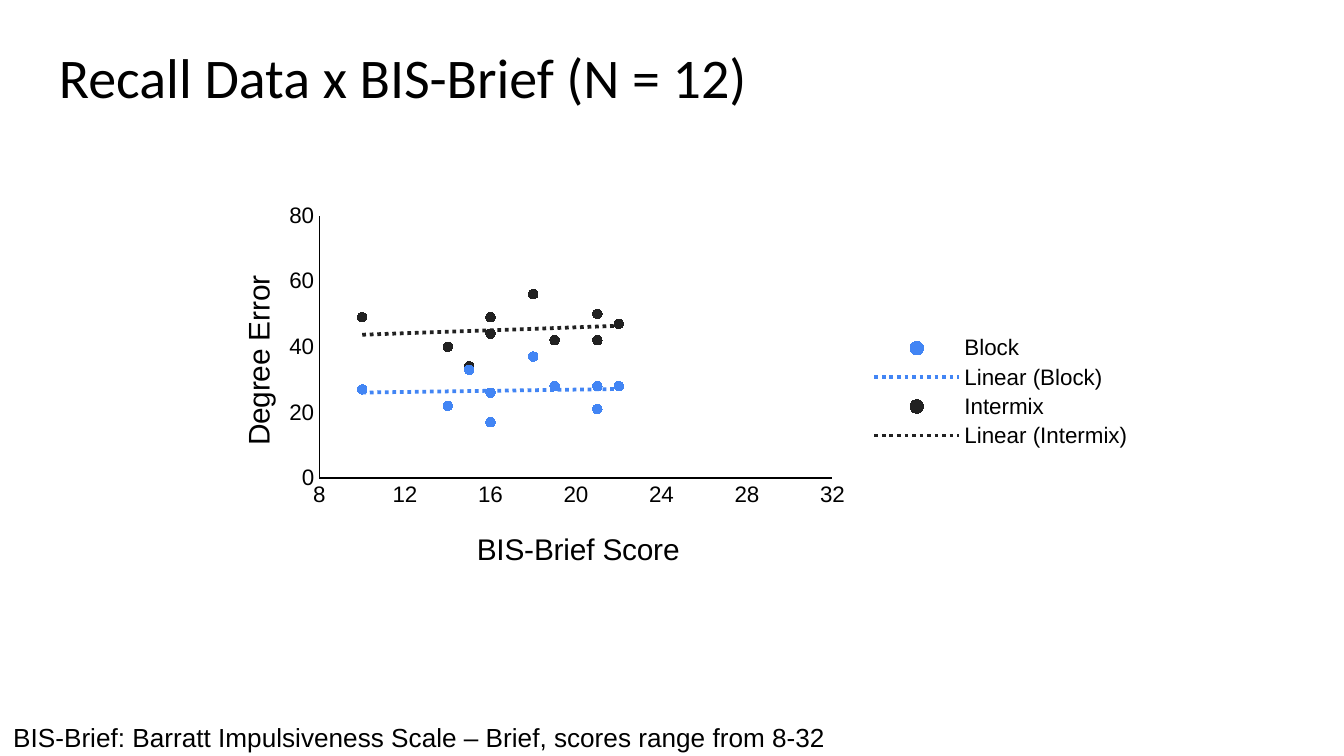
from dataclasses import dataclass

from lxml.etree import _Element as Element
from pptx import Presentation
from pptx.chart.data import XyChartData
from pptx.dml.color import RGBColor
from pptx.enum.chart import XL_CHART_TYPE as ChartType
from pptx.enum.chart import XL_LEGEND_POSITION as LegendPosition
from pptx.enum.chart import XL_MARKER_STYLE as MarkerStyle
from pptx.enum.chart import XL_TICK_MARK as TickMark
from pptx.enum.text import MSO_AUTO_SIZE as AutoSize
from pptx.oxml import parse_xml
from pptx.oxml.ns import nsdecls, qn
from pptx.util import Pt

BLACK = "000000"
SCORES = [16, 21, 22, 21, 16, 14, 18, 10, 19, 15]


@dataclass
class Caption:
    text: str
    left: float
    top: float
    width: float
    height: float
    font: str
    size: float
    inset: float
    wrap: bool


@dataclass
class Condition:
    name: str
    color: str
    errors: list[int]


@dataclass
class Scale:
    title: str
    low: int
    high: int
    step: int
    title_x: float
    title_y: float


CAPTIONS = [
    Caption("BIS-Brief: Barratt Impulsiveness Scale – Brief, scores range from 8-32",
            0, 383, 454.3, 24.2, "Arial", 14, 3.6, False),
    Caption("Recall Data x BIS-Brief (N = 12)", 24.5, 15.8, 671, 45.4, "Calibri", 30, 7.2, True),
]
CONDITIONS = [
    Condition("Block", "4285F4", [26, 21, 28, 28, 17, 22, 37, 27, 28, 33]),
    Condition("Intermix", "212121", [49, 50, 47, 42, 44, 40, 56, 49, 42, 34]),
]
SCORE_SCALE = Scale("BIS-Brief Score", 8, 32, 4, 0.29, 0.84)
ERROR_SCALE = Scale("Degree Error", 0, 80, 20, 0.04, 0.19)


def rgb(color: str) -> RGBColor:
    return RGBColor.from_string(color)


def style_font(font, size: float, name: str = "Arial") -> None:
    font.name, font.size, font.bold = name, Pt(size), False
    font.color.rgb = rgb(BLACK)


def add_caption(slide, caption: Caption) -> None:
    box = slide.shapes.add_textbox(Pt(caption.left), Pt(caption.top), Pt(caption.width), Pt(caption.height))
    frame = box.text_frame
    frame.text = caption.text
    frame.word_wrap = caption.wrap
    frame.auto_size = AutoSize.NONE if caption.wrap else AutoSize.SHAPE_TO_FIT_TEXT
    frame.margin_top = frame.margin_bottom = Pt(caption.inset)
    style_font(frame.paragraphs[0].font, caption.size, caption.font)


def place(parent: Element, **fractions: float) -> None:
    modes = "".join(f'<c:{side}Mode val="edge"/>' for side in "xy")
    extents = "".join(f'<c:{key} val="{value}"/>' for key, value in fractions.items())
    target = '<c:layoutTarget val="inner"/>' if "w" in fractions else ""
    layout = parse_xml(f'<c:layout {nsdecls("c")}><c:manualLayout>{target}{modes}{extents}'
                       "</c:manualLayout></c:layout>")
    for automatic in parent.findall(qn("c:layout")):
        parent.remove(automatic)
    parent.insert(len(parent.findall(qn("c:tx"))), layout)


def style_axis(axis, scale: Scale) -> None:
    axis.minimum_scale, axis.maximum_scale, axis.major_unit = scale.low, scale.high, scale.step
    axis.has_major_gridlines = False
    axis.major_tick_mark = axis.minor_tick_mark = TickMark.NONE
    axis.format.line.color.rgb = rgb(BLACK)
    axis.format.line.width = Pt(1)
    style_font(axis.tick_labels.font, 12)
    title = axis.axis_title
    title.text_frame.text = scale.title
    style_font(title.text_frame.paragraphs[0].font, 16)
    place(title._element, x=scale.title_x, y=scale.title_y)


def style_series(series, color: str) -> None:
    series.format.line.fill.background()
    marker = series.marker
    marker.style, marker.size = MarkerStyle.CIRCLE, 5
    marker.format.fill.solid()
    marker.format.fill.fore_color.rgb = rgb(color)
    marker.format.line.color.rgb = rgb(color)
    trend = parse_xml(
        f'<c:trendline {nsdecls("c", "a")}><c:spPr><a:ln w="{Pt(2)}"><a:solidFill>'
        f'<a:srgbClr val="{color}"/></a:solidFill><a:prstDash val="sysDot"/></a:ln></c:spPr>'
        '<c:trendlineType val="linear"/><c:dispRSqr val="0"/><c:dispEq val="0"/></c:trendline>')
    series._element.find(qn("c:xVal")).addprevious(trend)


def add_recall_chart(slide) -> None:
    data = XyChartData()
    for condition in CONDITIONS:
        points = data.add_series(condition.name)
        for score, error in zip(SCORES, condition.errors):
            points.add_data_point(score, error)
    chart = slide.shapes.add_chart(ChartType.XY_SCATTER, Pt(105), Pt(105), Pt(509), Pt(210), data).chart
    chart.has_title = False
    style_font(chart.font, 10)
    style_axis(chart.category_axis, SCORE_SCALE)
    style_axis(chart.value_axis, ERROR_SCALE)
    chart.has_legend = True
    chart.legend.position = LegendPosition.RIGHT
    chart.legend.include_in_layout = False
    style_font(chart.legend.font, 12)
    chart.plots[0].vary_by_categories = False
    for series, condition in zip(chart.plots[0].series, CONDITIONS):
        series.smooth = False
        style_series(series, condition.color)
    place(chart._chartSpace.chart.plotArea, x=0.13, y=0.05, w=0.54, h=0.67)


def main() -> None:
    """Build the slide on recall error against impulsiveness score."""
    deck = Presentation()
    deck.slide_width, deck.slide_height = Pt(720), Pt(405)
    slide = deck.slides.add_slide(deck.slide_layouts[6])
    for caption in CAPTIONS:
        add_caption(slide, caption)
    add_recall_chart(slide)
    deck.save("out.pptx")


if __name__ == "__main__":
    main()
